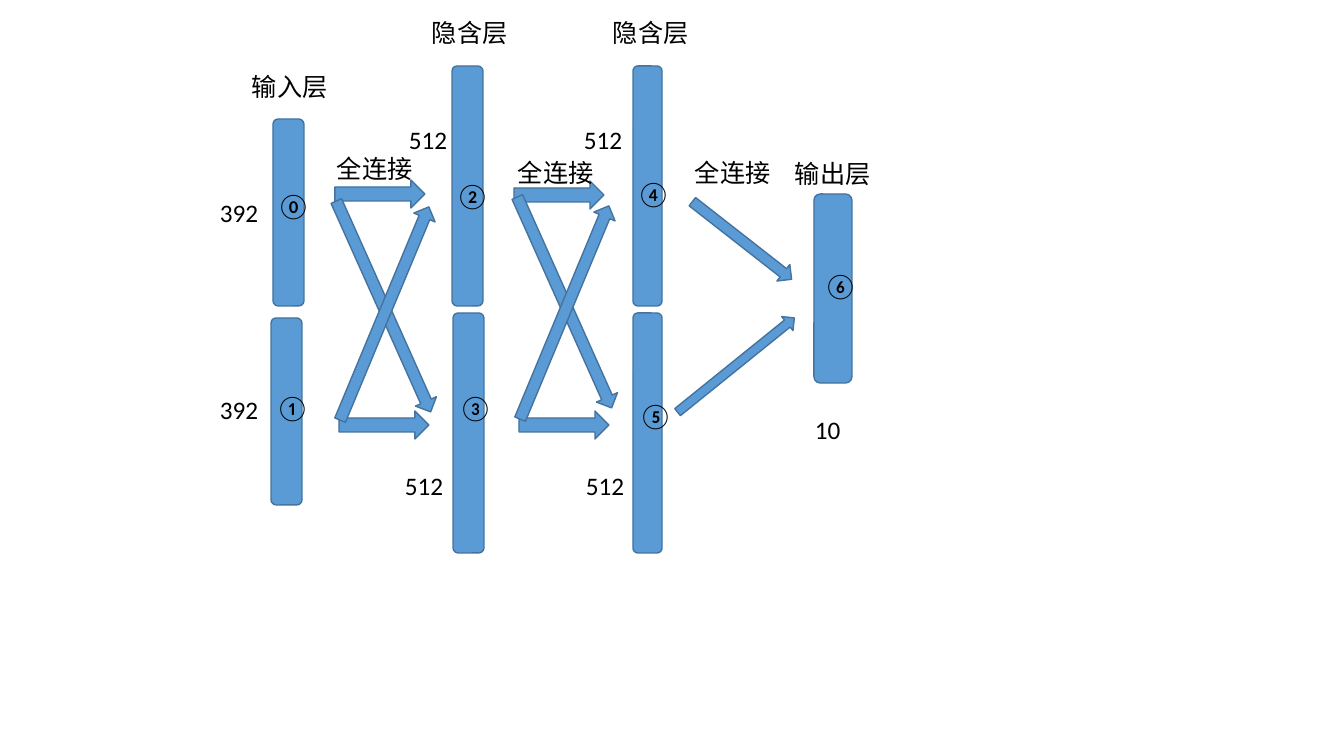
"""Build a slide showing a fully connected network split into numbered blocks."""
from typing import NamedTuple

from pptx import Presentation, util as u
from pptx.dml.color import RGBColor
from pptx.enum import shapes, text

PIXEL = 914400 / 100.8
BLUE = RGBColor(0x5B, 0x9B, 0xD5)
DARK_BLUE = RGBColor(0x43, 0x73, 0x9E)
BLACK = RGBColor(0, 0, 0)
FONT = "Calibri"
LABEL_HEIGHT = 40
TITLE_WIDTH, COUNT_WIDTH, TEN_WIDTH, NUMBER_WIDTH = 97, 59, 46, 43


class Box(NamedTuple):
    left: int
    top: int
    width: int
    height: int


class ArrowKind(NamedTuple):
    width: int
    height: int
    rotation: float
    places: list[tuple[int, int]]


class Label(NamedTuple):
    wording: str
    left: int
    top: int


LAYER_BARS = [
    Box(273, 119, 31, 187), Box(271, 318, 31, 187),
    Box(452, 66, 31, 240), Box(453, 313, 31, 240),
    Box(633, 66, 29, 240), Box(633, 313, 29, 240),
    Box(814, 194, 38, 189),
]
ARROW_KINDS = [
    ArrowKind(90, 28, 0, [(335, 180), (514, 181), (339, 411), (519, 411)]),
    ArrowKind(126, 21, 38, [(679, 230)]),
    ArrowKind(231, 23, 65.9, [(268, 295), (449, 291)]),
    ArrowKind(231, 23, 292.6, [(269, 302), (449, 301)]),
    ArrowKind(150, 18, 321.1, [(661, 356)]),
]
LABELS = {
    TITLE_WIDTH: [
        Label("输入层", 242, 66), Label("隐含层", 422, 12),
        Label("隐含层", 603, 12), Label("输出层", 785, 153),
        Label("全连接", 327, 148), Label("全连接", 508, 152),
        Label("全连接", 685, 152),
    ],
    COUNT_WIDTH: [
        Label("392", 210, 192), Label("392", 210, 389),
        Label("512", 399, 119), Label("512", 395, 465),
        Label("512", 574, 119), Label("512", 576, 465),
    ],
    TEN_WIDTH: [Label("10", 805, 409)],
    NUMBER_WIDTH: [
        Label("⓪", 267, 185), Label("①", 266, 387),
        Label("②", 446, 175), Label("③", 449, 387),
        Label("④", 627, 173), Label("⑤", 629, 395),
        Label("⑥", 814, 265),
    ],
}


def px(length: float) -> int:
    return round(length * PIXEL)


def add_block(slide, kind, box: Box, rotation: float = 0) -> None:
    shape = slide.shapes.add_shape(kind, *map(px, box))
    shape.shadow.inherit = False
    shape.rotation = rotation
    shape.fill.solid()
    shape.fill.fore_color.rgb = BLUE
    shape.line.color.rgb = DARK_BLUE
    shape.line.width = u.Pt(1)


def add_text(slide, wording: str, box: Box, *, size: int = 18,
             color: RGBColor = BLACK, font: str = FONT) -> None:
    frame = slide.shapes.add_textbox(*map(px, box)).text_frame
    frame.word_wrap = False
    frame.auto_size = text.MSO_AUTO_SIZE.SHAPE_TO_FIT_TEXT
    run = frame.paragraphs[0].add_run()
    run.text = wording
    run.font.size = u.Pt(size)
    run.font.name = font
    run.font.color.rgb = color


def main() -> None:
    presentation = Presentation()
    presentation.slide_width = px(1344)
    presentation.slide_height = px(756)
    slide = presentation.slides.add_slide(presentation.slide_layouts[6])
    for bar in LAYER_BARS:
        add_block(slide, shapes.MSO_SHAPE.ROUNDED_RECTANGLE, bar)
    for arrow in ARROW_KINDS:
        for left, top in arrow.places:
            add_block(slide, shapes.MSO_SHAPE.RIGHT_ARROW,
                      Box(left, top, arrow.width, arrow.height), arrow.rotation)
    for width, labels in LABELS.items():
        for label in labels:
            add_text(slide, label.wording,
                     Box(label.left, label.top, width, LABEL_HEIGHT))
    presentation.save("out.pptx")


main()
